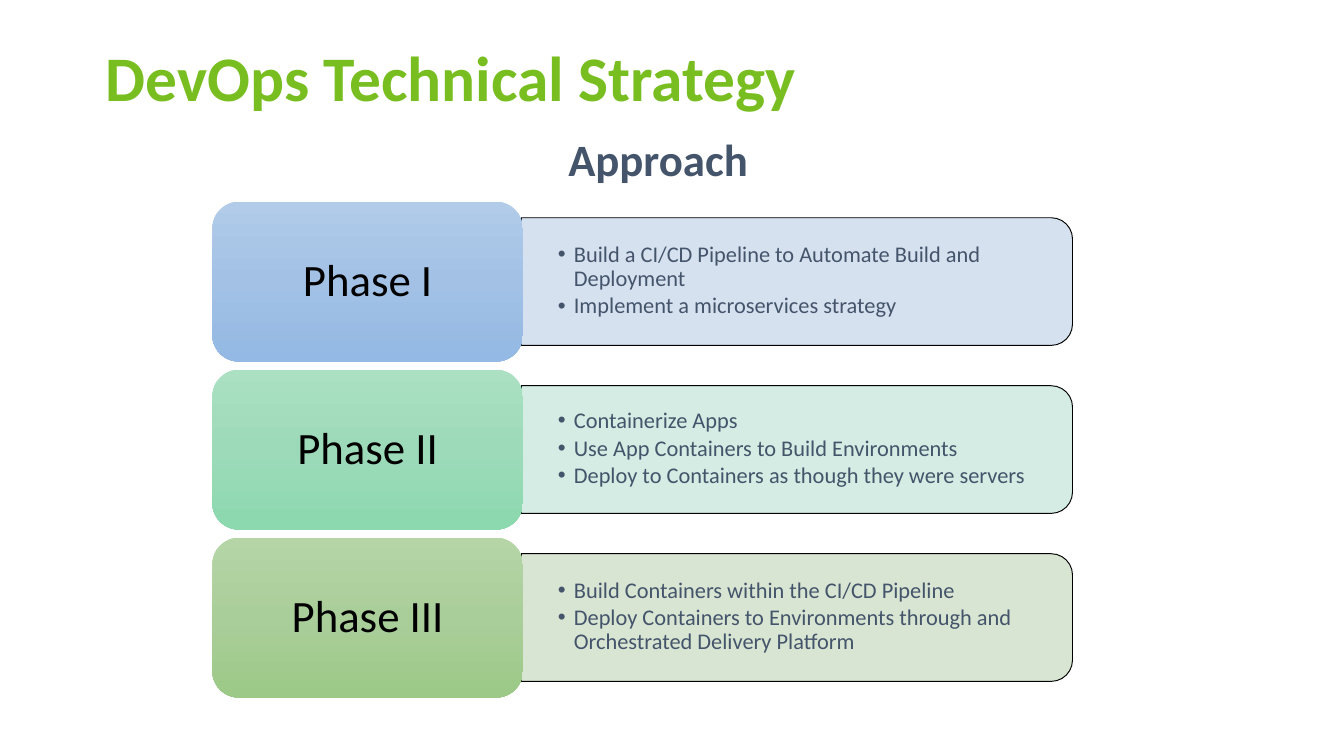
from copy import deepcopy

from lxml import etree
from pptx import Presentation
from pptx import util as u
from pptx.dml.color import RGBColor
from pptx.enum import shapes, text
from pptx.oxml import ns

GREEN = RGBColor(0x78, 0xBE, 0x20)
SLATE = RGBColor(0x44, 0x54, 0x6A)
BLACK = RGBColor(0x00, 0x00, 0x00)
BLUE_PANEL = RGBColor(0xD2, 0xDE, 0xEF)
MINT_PANEL = RGBColor(0xD0, 0xEA, 0xE1)
OLIVE_PANEL = RGBColor(0xD5, 0xE3, 0xCF)
BLUE_TILE = [RGBColor(0xB1, 0xCB, 0xE9), RGBColor(0xA3, 0xC1, 0xE5), RGBColor(0x93, 0xB9, 0xE4)]
MINT_TILE = [RGBColor(0xAB, 0xE0, 0xC3), RGBColor(0x9D, 0xDA, 0xB9), RGBColor(0x8C, 0xD8, 0xAF)]
OLIVE_TILE = [RGBColor(0xB5, 0xD5, 0xA7), RGBColor(0xAA, 0xCE, 0x9A), RGBColor(0x9C, 0xC9, 0x87)]

PHASES = [
    ("Phase I", BLUE_PANEL, BLUE_TILE, [
        "Build a CI/CD Pipeline to Automate Build and Deployment",
        "Implement a microservices strategy",
    ]),
    ("Phase II", MINT_PANEL, MINT_TILE, [
        "Containerize Apps",
        "Use App Containers to Build Environments",
        "Deploy to Containers as though they were servers",
    ]),
    ("Phase III", OLIVE_PANEL, OLIVE_TILE, [
        "Build Containers within the CI/CD Pipeline",
        "Deploy Containers to Environments through and Orchestrated Delivery Platform",
    ]),
]
FIRST_TOP, PITCH = 1.5, 1.25


class StrategySlide:
    """Draws the parts of a phased strategy on one slide in a shared style."""

    font = "Calibri"
    bullet_font = "Arial"

    def __init__(self, slide):
        self.slide = slide

    def shape(self, preset, left, top, width, height):
        shape = self.slide.shapes.add_shape(
            preset, u.Inches(left), u.Inches(top), u.Inches(width), u.Inches(height))
        shape.shadow.inherit = False
        return shape

    def panel(self, left, top, width, height, color):
        panel = self.shape(shapes.MSO_SHAPE.ROUND_2_SAME_RECTANGLE,
                           left + (width - height) / 2, top + (height - width) / 2, height, width)
        panel.rotation = 90
        panel.fill.solid()
        panel.fill.fore_color.rgb = color
        srgb = panel._element.spPr.find(".//" + ns.qn("a:srgbClr"))
        etree.SubElement(srgb, ns.qn("a:alpha"), val="90000")
        panel.line.color.rgb = BLACK
        panel.line.width = u.Pt(0.5)

    def tile(self, left, top, width, height, colors):
        tile = self.shape(shapes.MSO_SHAPE.ROUNDED_RECTANGLE, left, top, width, height)
        tile.fill.gradient()
        tile.fill.gradient_angle = 270
        stops = tile._element.spPr.find(".//" + ns.qn("a:gsLst"))
        stops.insert(1, deepcopy(stops[0]))
        for stop, position, color in zip(tile.fill.gradient_stops, (0, 0.5, 1), colors):
            stop.position = position
            stop.color.rgb = color
        tile.line.fill.background()

    def textbox(self, left, top, width, height, lines, size, color, bold=False,
                middle=False, align=None, spacing=0.9, after=0):
        frame = self.slide.shapes.add_textbox(
            u.Inches(left), u.Inches(top), u.Inches(width), u.Inches(height)).text_frame
        frame.word_wrap = True
        if middle:
            frame.vertical_anchor = text.MSO_ANCHOR.MIDDLE
        for index, line in enumerate(lines):
            paragraph = frame.add_paragraph() if index else frame.paragraphs[0]
            paragraph.alignment = align
            paragraph.line_spacing = spacing
            paragraph.space_after = u.Pt(after)
            run = paragraph.add_run()
            run.text = line
            run.font.name = self.font
            run.font.size = u.Pt(size)
            run.font.bold = bold
            run.font.color.rgb = color
        return frame

    def bullets(self, left, top, width, height, lines):
        frame = self.textbox(left, top, width, height, lines, 12, SLATE, middle=True, after=1.8)
        frame.margin_left = frame.margin_right = u.Inches(0.27)
        frame.margin_top = frame.margin_bottom = u.Inches(0.14)
        for paragraph in frame.paragraphs:
            paragraph.level = 1
            properties = paragraph._p.get_or_add_pPr()
            properties.set("marL", str(u.Inches(0.12)))
            properties.set("indent", str(u.Inches(-0.12)))
            etree.SubElement(properties, ns.qn("a:buFont"), typeface=self.bullet_font)
            etree.SubElement(properties, ns.qn("a:buChar"), char="•")

    def phase(self, top, name, panel_color, tile_colors, actions):
        self.panel(3.88, top + 0.12, 4.1, 0.95, panel_color)
        self.bullets(3.88, top + 0.16, 4.05, 0.86, actions)
        self.tile(1.58, top, 2.31, 1.19, tile_colors)
        self.textbox(1.64, top + 0.06, 2.19, 1.07, [name], 24, BLACK,
                     middle=True, align=text.PP_ALIGN.CENTER, after=8.4)


def main():
    deck = Presentation()
    deck.slide_width = u.Inches(10)
    deck.slide_height = deck.slide_width * 9 // 16
    strategy = StrategySlide(deck.slides.add_slide(deck.slide_layouts[6]))
    for index, phase in enumerate(PHASES):
        strategy.phase(FIRST_TOP + index * PITCH, *phase)
    strategy.textbox(4.13, 0.93, 1.75, 0.5, ["Approach"], 24, SLATE, bold=True, spacing=1.0)
    strategy.textbox(0.69, 0.3, 8.62, 1.09, ["DevOps Technical Strategy"], 34, GREEN, bold=True)
    deck.save("out.pptx")


if __name__ == "__main__":
    main()
